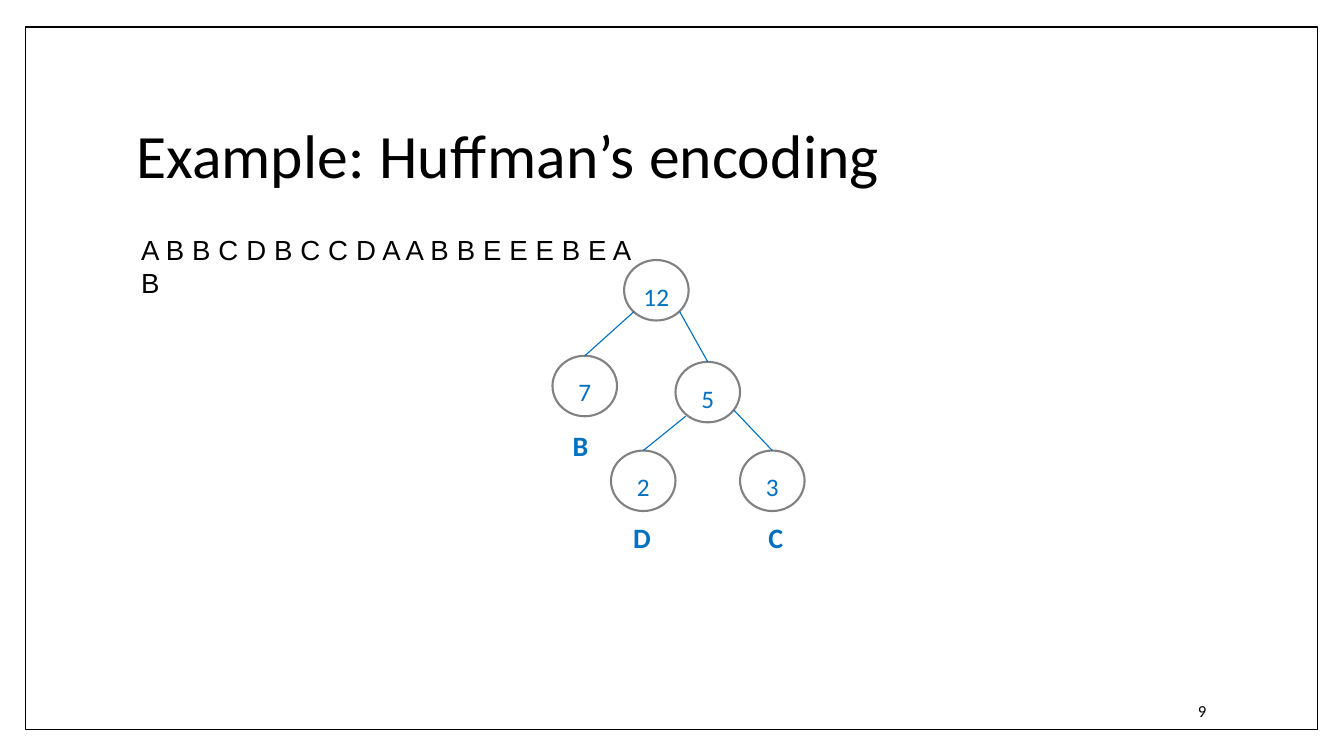
from dataclasses import dataclass
from pptx import Presentation
from pptx.dml.color import RGBColor
from pptx.enum.shapes import MSO_CONNECTOR, MSO_SHAPE
from pptx.enum.text import MSO_ANCHOR, PP_ALIGN
from pptx.oxml.ns import qn
from pptx.util import Inches, Pt
from lxml.etree import SubElement


@dataclass(frozen=True)
class Theme:
    black: str = "000000"
    white: str = "FFFFFF"
    blue: str = "0070C0"
    gray: str = "818183"
    font: str = "Calibri"
    sequence_font: str = "Arial"
    title: float = 44
    label: float = 20
    sequence: float = 19.7
    node: float = 18
    number: float = 12


def write(tf, text, *, size, font, color, bold=False, align=PP_ALIGN.LEFT, top=0):
    tf.word_wrap = True
    tf.vertical_anchor = MSO_ANCHOR.TOP
    tf.margin_left = tf.margin_right = tf.margin_bottom = 0
    tf.margin_top = Inches(top)
    p = tf.paragraphs[0]
    p.alignment = align
    r = p.add_run()
    r.text = text
    r.font.size = Pt(size)
    r.font.name = font
    r.font.bold = bold
    r.font.color.rgb = RGBColor.from_string(color)
    r.font._element.set("spc", "10")


class TreeSlide:
    node_w, node_h = 0.64, 0.6

    def __init__(self, prs, theme):
        self.theme = theme
        self.s = prs.slides.add_slide(prs.slide_layouts[6])

    def shape(self, kind, x, y, w, h, line, width):
        sp = self.s.shapes.add_shape(kind, Inches(x), Inches(y), Inches(w), Inches(h))
        sp.shadow.inherit = False
        sp.fill.solid()
        sp.fill.fore_color.rgb = RGBColor.from_string(self.theme.white)
        sp.line.color.rgb = RGBColor.from_string(line)
        sp.line.width = Pt(width)
        return sp

    def frame(self, x, y, w, h):
        self.shape(MSO_SHAPE.RECTANGLE, x, y, w, h, self.theme.black, 1)

    def text(self, text, x, y, w, h, size, **style):
        tb = self.s.shapes.add_textbox(Inches(x), Inches(y), Inches(w), Inches(h))
        style = {"font": self.theme.font, "color": self.theme.black} | style
        write(tb.text_frame, text, size=size, **style)

    def node(self, value, x, y):
        t = self.theme
        sp = self.shape(MSO_SHAPE.OVAL, x, y, self.node_w, self.node_h, t.gray, 1.5)
        write(sp.text_frame, value, size=t.node, font=t.font, color=t.blue,
              align=PP_ALIGN.CENTER, top=0.12)
        return sp

    def edge(self, x, y, child):
        c = self.s.shapes.add_connector(MSO_CONNECTOR.STRAIGHT, Inches(x), Inches(y),
                                        Inches(x), Inches(y))
        c.end_connect(child, 0)
        c.line.color.rgb = RGBColor.from_string(self.theme.blue)
        c.line.width = Pt(0.79)
        SubElement(c._element.spPr, qn("a:effectLst"))


def main():
    prs = Presentation()
    prs.slide_width, prs.slide_height = Inches(13.33), Inches(7.5)
    t = Theme()
    slide = TreeSlide(prs, t)

    slide.frame(0.25, 0.27, 12.82, 6.97)
    slide.text("Example: Huffman’s encoding", 1.35, 1.16, 7.66, 0.61, t.title)
    slide.text("A B B C D B C C D A A B B E E E B E A B", 1.4, 2.31, 5.03, 0.25,
               t.sequence, font=t.sequence_font)
    slide.text("9", 11.88, 6.95, 0.14, 0.17, t.number)

    nodes = {value: slide.node(value, x, y) for value, x, y in [
        ("12", 6.19, 2.58), ("7", 5.48, 3.53), ("5", 6.7, 3.59),
        ("2", 6.06, 4.47), ("3", 7.34, 4.47)]}
    for x, y, child in [(6.29, 3.09, "7"), (6.74, 3.09, "5"),
                        (6.8, 4.13, "2"), (7.28, 4.07, "3")]:
        slide.edge(x, y, nodes[child])
    for letter, x, y in [("B", 5.68, 4.25), ("D", 6.28, 5.16), ("C", 7.62, 5.16)]:
        slide.text(letter, x, y, 0.25, 0.28, t.label, color=t.blue, bold=True)

    prs.save("out.pptx")


if __name__ == "__main__":
    main()
